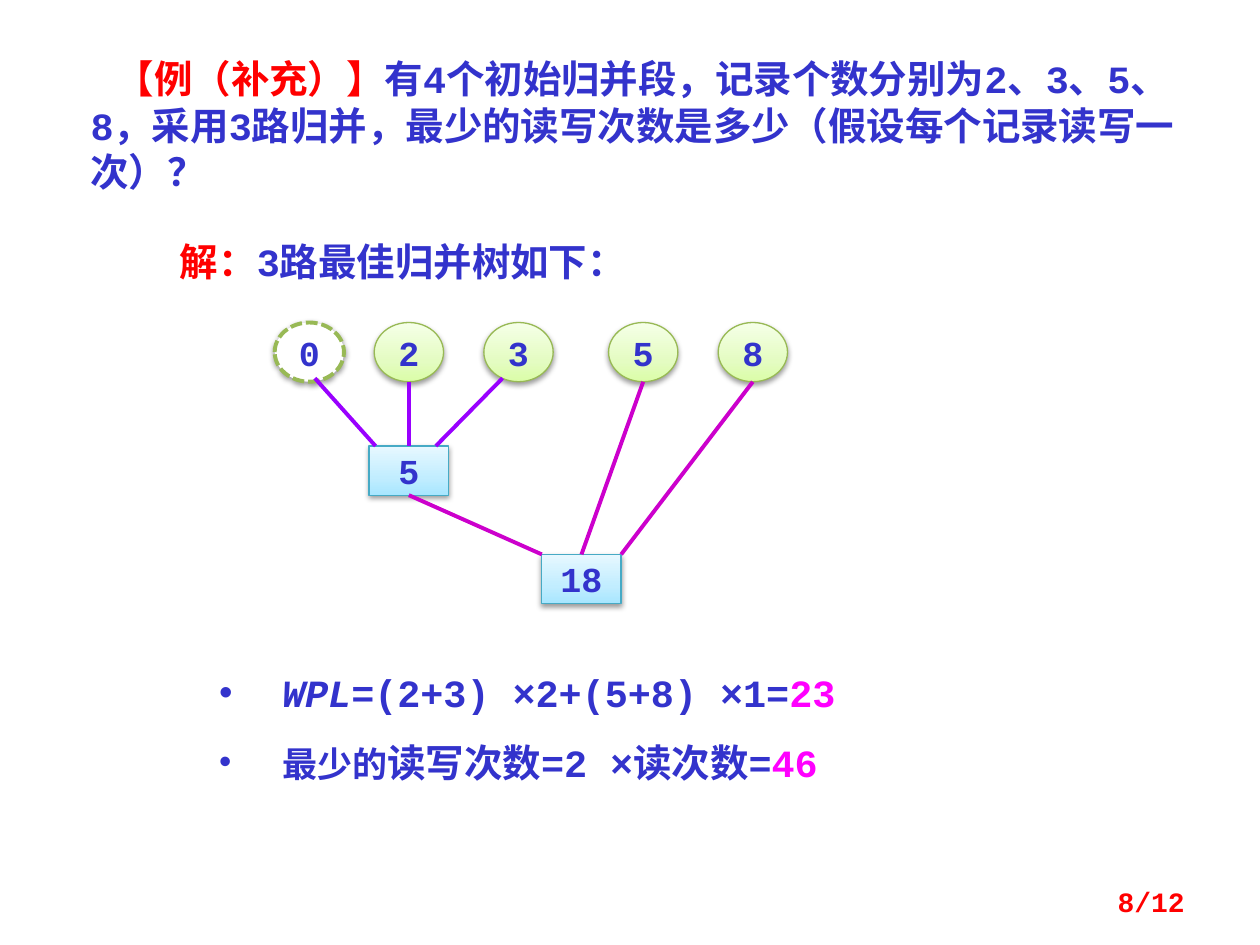
from collections import namedtuple

from lxml import etree
from pptx import Presentation
from pptx.dml.color import RGBColor
from pptx.enum.dml import MSO_LINE
from pptx.enum.shapes import MSO_CONNECTOR, MSO_SHAPE
from pptx.enum.text import MSO_ANCHOR, MSO_AUTO_SIZE, PP_ALIGN
from pptx.oxml import parse_xml
from pptx.oxml.ns import nsdecls, qn
from pptx.util import Inches, Pt

COLORS = {
    "text": "3333CC", "key": "FF0000", "result": "FF00FF", "white": "FFFFFF",
    "leaf_line": "98B955", "merge_line": "46AAC5",
    "first_merge": "9900FF", "last_merge": "CC00CC", "shadow": "000000",
}
GRADIENTS = {
    "leaf": [(0, "DAFDA7"), (35, "E4FCC2"), (100, "F5FFE7")],
    "merge": [(0, "A7E6FF"), (35, "C1EDFF"), (100, "E7F8FF")],
}
FONT = "Courier New"

# Grid of 100 columns by 75 rows
prs = Presentation()
prs.slide_width, prs.slide_height = Inches(10), Inches(7.5)
COL, ROW = prs.slide_width / 100, prs.slide_height / 75

Box = namedtuple("Box", "left top width height")


def emu(box):
    return (round(box.left * COL), round(box.top * ROW),
            round(box.width * COL), round(box.height * ROW))


def rgb(name):
    return RGBColor.from_string(COLORS[name])


def add_run(paragraph, text, size=22, color="text", bold=True, italic=False):
    run = paragraph.add_run()
    run.text = text
    font = run.font
    font.name, font.size, font.bold, font.italic = FONT, Pt(size), bold, italic
    font.color.rgb = rgb(color)


def add_text(slide, box, paragraphs, align=PP_ALIGN.LEFT, anchor=MSO_ANCHOR.TOP,
             spacing=None, indent=0, hanging=0, bullet=None):
    """Each paragraph is a list of (text, run format) pairs."""
    frame = slide.shapes.add_textbox(*emu(box)).text_frame
    frame.word_wrap = True
    frame.auto_size = MSO_AUTO_SIZE.SHAPE_TO_FIT_TEXT
    frame.vertical_anchor = anchor
    for number, runs in enumerate(paragraphs):
        paragraph = frame.add_paragraph() if number else frame.paragraphs[0]
        paragraph.alignment = align
        if spacing:
            paragraph.line_spacing = spacing
        props = paragraph._p.get_or_add_pPr()
        props.set("marL", str(round(hanging * COL)))
        props.set("indent", str(round((indent - hanging) * COL)))
        if bullet:
            etree.SubElement(props, qn("a:buFont")).set("typeface", "Arial")
            etree.SubElement(props, qn("a:buChar")).set("char", bullet)
        for text, style in runs:
            add_run(paragraph, text, **style)


def add_node(slide, box, label, kind, is_virtual=False):
    preset = MSO_SHAPE.OVAL if kind == "leaf" else MSO_SHAPE.RECTANGLE
    node = slide.shapes.add_shape(preset, *emu(box))
    node.line.color.rgb = rgb(kind + "_line")
    node.line.width = Pt(2.25 if is_virtual else 0.75)
    props = node._element.spPr
    if is_virtual:
        node.line.dash_style = MSO_LINE.SQUARE_DOT
        node.fill.solid()
        node.fill.fore_color.rgb = rgb("white")
    else:
        stops = "".join(
            f'<a:gs pos="{pos * 1000}"><a:srgbClr val="{color}"/></a:gs>'
            for pos, color in GRADIENTS[kind])
        props.insert(2, parse_xml(
            f'<a:gradFill {nsdecls("a")} rotWithShape="1"><a:gsLst>{stops}</a:gsLst>'
            '<a:lin ang="16200000" scaled="0"/></a:gradFill>'))
    # Soft shadow straight below
    props.append(parse_xml(
        f'<a:effectLst {nsdecls("a")}><a:outerShdw blurRad="{Pt(3.1)}" '
        f'dist="{Pt(1.6)}" dir="5400000" rotWithShape="0">'
        f'<a:srgbClr val="{COLORS["shadow"]}"><a:alpha val="38000"/></a:srgbClr>'
        '</a:outerShdw></a:effectLst>'))
    frame = node.text_frame
    frame.word_wrap = False
    frame.vertical_anchor = MSO_ANCHOR.MIDDLE
    frame.paragraphs[0].alignment = PP_ALIGN.CENTER
    add_run(frame.paragraphs[0], label, size=20)


def add_edge(slide, child, parent, child_x, child_y, parent_x, color):
    """Join a point of the child to the parent's top, given as shares of each."""
    edge = slide.shapes.add_connector(
        MSO_CONNECTOR.STRAIGHT,
        round((child.left + child.width * child_x) * COL),
        round((child.top + child.height * child_y) * ROW),
        round((parent.left + parent.width * parent_x) * COL),
        round(parent.top * ROW))
    edge.line.color.rgb = rgb(color)
    edge.line.width = Pt(2.25)
    etree.SubElement(edge._element.spPr, qn("a:effectLst"))


def add_question(slide, box):
    add_text(slide, box, [[
        ("【例（补充）】", {"color": "key"}),
        ("有4个初始归并段，记录个数分别为2、3、5、8，采用3路归并，"
         "最少的读写次数是多少（假设每个记录读写一次）？", {}),
    ]], indent=2)


def add_solution_heading(slide, box):
    add_text(slide, box, [[("解：", {"color": "key"}), ("3路最佳归并树如下：", {})]])


def add_merge_tree(slide, box):
    # Leaves on the top row
    leaves = {}
    for label, offset in [("0", 0), ("2", 7.9), ("3", 16.6), ("5", 26.5), ("8", 35.2)]:
        leaves[label] = Box(box.left + offset, box.top, 5.5, 4.7)
        add_node(slide, leaves[label], label, "leaf", is_virtual=label == "0")
    # Merged runs below
    first = Box(box.left + 7.5, box.top + 9.8, 6.3, 3.9)
    last = Box(box.left + 21.2, box.top + box.height - 3.9, 6.3, 3.9)
    add_node(slide, first, "5", "merge")
    add_node(slide, last, "18", "merge")
    # Edges
    for child, parent, child_x, child_y, parent_x, color in [
        (leaves["0"], first, 0.58, 0.94, 0.08, "first_merge"),
        (leaves["2"], first, 0.5, 1, 0.5, "first_merge"),
        (leaves["3"], first, 0.27, 0.94, 0.84, "first_merge"),
        (first, last, 0.5, 1, 0, "last_merge"),
        (leaves["5"], last, 0.5, 1, 0.5, "last_merge"),
        (leaves["8"], last, 0.5, 1, 1, "last_merge"),
    ]:
        add_edge(slide, child, parent, child_x, child_y, parent_x, color)


def add_results(slide, box):
    add_text(slide, box, [
        [("WPL", {"italic": True}), ("=(2+3) ×2+(5+8) ×1=", {}),
         ("23", {"color": "result"})],
        [("最少的", {"size": 20}), ("读写次数=2 ×读次数=", {}),
         ("46", {"color": "result"})],
    ], spacing=1.5, hanging=5, bullet="•")


def add_page_number(slide, box):
    add_text(slide, box, [[("8/12", {"size": 16, "color": "key"})]],
             align=PP_ALIGN.RIGHT, anchor=MSO_ANCHOR.MIDDLE)


def main():
    slide = prs.slides.add_slide(prs.slide_layouts[6])
    add_question(slide, Box(6.2, 3.9, 89.8, 12.1))
    add_solution_heading(slide, Box(13.3, 18.4, 49.2, 4.7))
    add_merge_tree(slide, Box(21.8, 25.6, 40.7, 22.3))
    add_results(slide, Box(16.4, 50.8, 67.2, 12.1))
    add_page_number(slide, Box(71.7, 69.5, 23.3, 4))
    prs.save("out.pptx")


if __name__ == "__main__":
    main()
